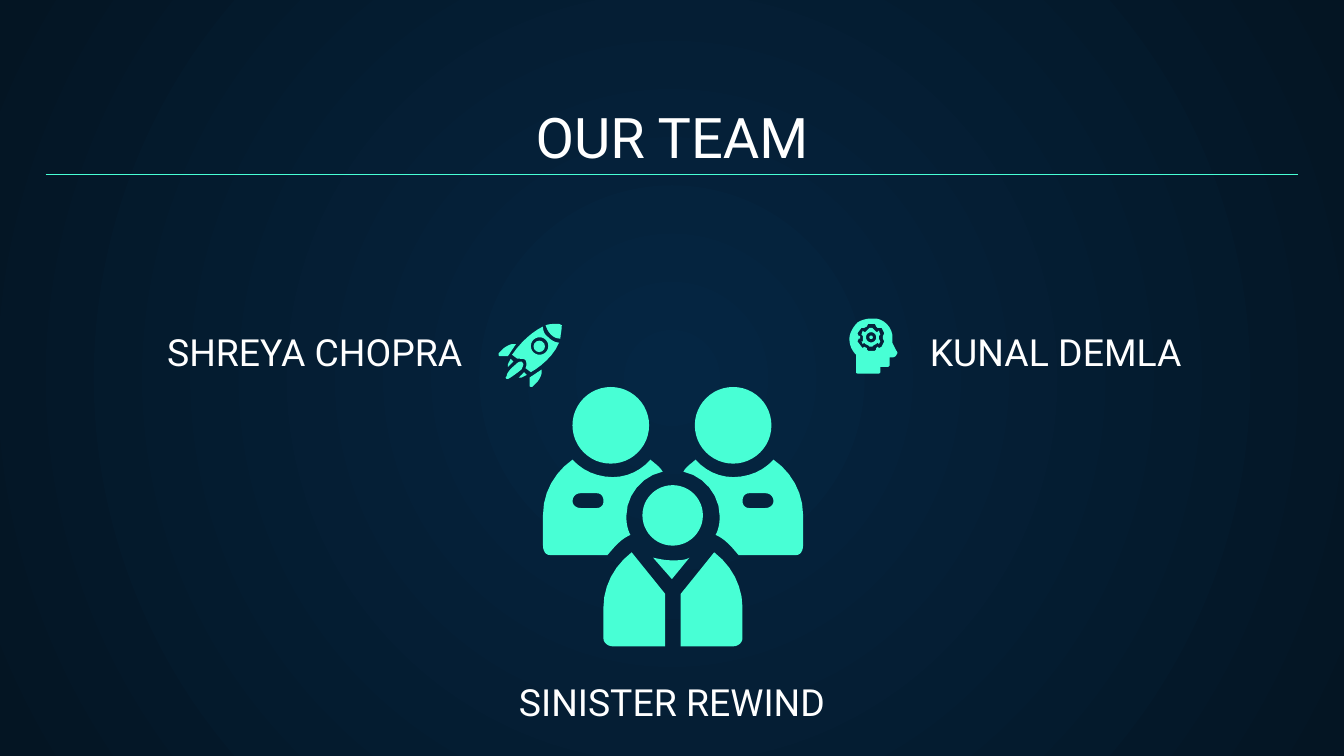
import math
from dataclasses import dataclass

import pptx
import pptx.dml.color
import pptx.enum.dml
import pptx.enum.shapes
import pptx.enum.text
import pptx.oxml
import pptx.oxml.ns
import pptx.util


@dataclass(frozen=True)
class Theme:
    """Colours, font and type sizes of the slide."""
    glow: str = "052643"
    edge: str = "041523"
    mint: str = "48FFD5"
    text: str = "FFFFFF"
    font: str = "Roboto"
    head: int = 30
    name: int = 20
    rule: float = 0.75


THEME = Theme()
CELL = pptx.util.Inches(0.1)
COLS, ROWS = 100, 56.25
FINE = 100
ALIGN = pptx.enum.text.PP_ALIGN

FIN = "M 11 15 C 9 15 7 16 4 18 L 0 22 C 0 23 0 24 1 24 C 3 24 5 24 7 24 C 9 21 11 18 13 15"
FLAME = "M 9 26 C 8 28 7 30 7 30 L 7 32 C 8 31 10 29 11 28"
TAIL = ("M 17 28 C 15 28 14 29 13 30 C 8 34 6 37 6 39 C 5 40 5 40 6 41 L 7 41 "
        "C 9 40 12 38 17 34 C 18 32 19 30 18 29 L 17 28")
NOSE = ("M 43 0 C 41 0 38 0 35 1 C 36 4 37 6 39 8 C 41 10 43 11 46 11 "
        "C 46 8 47 5 47 1 L 45 0")
HULL = ("M 33 2 C 25 6 17 13 10 23 L 14 26 C 18 26 19 26 20 27 C 21 29 21 31 20 33 "
        "L 24 36 C 31 32 41 24 45 14 C 42 14 39 12 37 10 C 34 8 33 5 33 2 O 30.5 16.5 6.5")
BODY = ("M 22 54 C 9 63 0 78 0 95 L 0 118 C 0 122 2 125 5 125 L 48 125 "
        "C 53 119 58 113 65 110 C 63 106 62 102 62 96 C 62 80 74 66 89 63 "
        "C 87 59 83 57 80 54 C 73 62 63 67 52 67 C 40 67 29 62 22 54 "
        "M 40 79 C 43 79 45 81 45 85 C 45 88 43 90 40 90 L 28 90 "
        "C 25 90 22 88 22 85 C 22 81 25 79 28 79")
COAT = "M 66 123 C 53 133 45 148 45 164 L 45 187 C 45 190 48 193 52 193 L 91 193 L 91 154"
COLLAR = "M 82 127 L 96 143 L 109 127 C 106 129 101 129 96 129 C 91 129 87 128 82 127"
SKULL = ("M 16 0 C 13 0 9 1 6 3 C 3 6 0 11 0 15 C 0 20 2 24 5 27 L 5 40 C 5 41 6 41 7 41 "
         "L 21 41 C 22 41 23 41 23 40 L 23 36 L 29 36 L 30 35 L 30 29 L 32 29 "
         "C 33 29 35 28 35 27 C 36 26 36 25 35 24 L 32 18 C 32 16 32 14 32 12 "
         "C 31 6 26 1 20 0 M 19 4 L 20 6 L 21 7 L 24 7 L 26 11 L 25 13 L 25 15 L 26 17 "
         "L 24 21 L 22 22 L 21 21 L 20 22 L 20 23 L 19 24 L 14 24 L 13 23 L 13 22 L 11 21 "
         "L 10 22 L 9 21 L 6 17 L 7 15 L 8 15 L 8 13 L 7 13 L 6 11 L 9 7 L 11 7 L 13 6 L 14 4")
GEAR = ("M 15 7 L 14 8 L 12 10 L 11 10 L 10 9 L 9 12 L 10 13 L 10 17 L 9 17 L 10 19 L 11 18 "
        "L 12 19 L 14 20 L 15 21 L 17 21 L 18 20 L 20 19 L 21 18 L 22 19 L 23 17 L 22 15 "
        "L 22 13 L 23 12 L 22 9 L 21 10 L 20 10 L 18 8 L 17 7 O 16.2 14 3.8")


def tint(code):
    """Turn a hex code into a colour."""
    return pptx.dml.color.RGBColor.from_string(code)


def paint(shape):
    """Fill a shape with mint and drop its line and shadow."""
    shape.shadow.inherit = False
    shape.fill.solid()
    shape.fill.fore_color.rgb = tint(THEME.mint)
    shape.line.fill.background()


def bend(points, steps=6):
    """Sample a cubic curve after its first point."""
    for step in range(1, steps + 1):
        t = step / steps
        share = ((1 - t) ** 3, 3 * t * (1 - t) ** 2, 3 * t * t * (1 - t), t ** 3)
        yield tuple(sum(s * p[i] for s, p in zip(share, points)) for i in (0, 1))


def trace(code):
    """Read an outline of M, L, C and O marks into lists of points."""
    loops, words = [], iter(code.split())
    take = lambda count: [float(next(words)) for _ in range(count)]
    for mark in words:
        if mark == "M":
            loops.append([tuple(take(2))])
        elif mark == "L":
            loops[-1].append(tuple(take(2)))
        elif mark == "C":
            nums = take(6)
            loops[-1].extend(bend([loops[-1][-1], *zip(nums[::2], nums[1::2])]))
        else:
            x, y, r = take(3)
            turns = [math.tau * k / 24 for k in range(24)]
            loops.append([(x + r * math.cos(a), y + r * math.sin(a)) for a in turns])
    return loops


def draw(group, box, code, flip=lambda x, y: (x, y)):
    """Add an outline to an icon, flipped if asked."""
    left, top, unit = box
    loops = [[tuple(n * FINE for n in flip(*p)) for p in loop] for loop in trace(code)]
    pen = group.shapes.build_freeform(*loops[0][0], scale=unit / FINE)
    pen.add_line_segments(loops[0][1:])
    for loop in loops[1:]:
        pen.move_to(*loop[0])
        pen.add_line_segments(loop[1:])
    paint(pen.convert_to_shape(left, top))


def disc(group, box, x, y, size):
    """Add a round part to an icon."""
    left, top, unit = box
    oval = pptx.enum.shapes.MSO_SHAPE.OVAL
    spot = (left + x * unit, top + y * unit, size * unit, size * unit)
    paint(group.shapes.add_shape(oval, *map(int, spot)))


def rocket(slide, box):
    """Place the rocket, mirrored on its diagonal."""
    group = slide.shapes.add_group_shape()
    for code in (FIN, FLAME):
        draw(group, box, code)
        draw(group, box, code, lambda x, y: (47 - y, 47 - x))
    for code in (TAIL, NOSE, HULL):
        draw(group, box, code)
    disc(group, box, 26, 12.5, 8.5)


def people(slide, box):
    """Place the three people, mirrored on the middle axis."""
    group = slide.shapes.add_group_shape()
    for code in (BODY, COAT):
        draw(group, box, code)
        draw(group, box, code, lambda x, y: (193.5 - x, y))
    draw(group, box, COLLAR)
    for x, y, size in ((22, 0, 57), (113, 0, 57), (74, 73, 45)):
        disc(group, box, x, y, size)


def mind(slide, box):
    """Place the head with a gear."""
    group = slide.shapes.add_group_shape()
    for code in (SKULL, GEAR):
        draw(group, box, code)
    disc(group, box, 14.9, 12.7, 2.6)


def write(slide, text, box, size=THEME.name, align=ALIGN.CENTER):
    """Add one line of text at the foot of a box."""
    frame = slide.shapes.add_textbox(*(int(n * CELL) for n in box)).text_frame
    frame.word_wrap = True
    frame.vertical_anchor = pptx.enum.text.MSO_ANCHOR.BOTTOM
    for side in ("left", "right", "top", "bottom"):
        setattr(frame, f"margin_{side}", CELL)
    para = frame.paragraphs[0]
    para.alignment = align
    run = para.add_run()
    run.text = text
    run.font.name, run.font.size = THEME.font, pptx.util.Pt(size)
    run.font.color.rgb = tint(THEME.text)


def shade(slide):
    """Give the slide a round glow."""
    fill = slide.background.fill
    fill.gradient()
    for stop, code in zip(fill.gradient_stops, (THEME.glow, THEME.edge)):
        stop.color.rgb = tint(code)
    line = next(slide.background._cSld.iter(pptx.oxml.ns.qn("a:lin")))
    line.getparent().replace(line, pptx.oxml.parse_xml(
        f'<a:path {pptx.oxml.ns.nsdecls("a")} path="circle">'
        '<a:fillToRect l="50000" t="50000" r="50000" b="50000"/></a:path>'))


def title(slide, box):
    """Place the heading and the rule under it."""
    left, top, wide, high = box
    write(slide, "OUR TEAM", box, size=THEME.head)
    ends = (left, top + high - 0.6, left + wide, top + high - 0.6)
    rule = slide.shapes.add_connector(
        pptx.enum.shapes.MSO_CONNECTOR.STRAIGHT, *(int(n * CELL) for n in ends))
    rule.line.color.rgb = tint(THEME.mint)
    rule.line.width = pptx.util.Pt(THEME.rule)
    rule._element.spPr.append(pptx.oxml.parse_xml(
        f'<a:effectLst {pptx.oxml.ns.nsdecls("a")}/>'))


def main():
    """Build the team slide."""
    deck = pptx.Presentation()
    deck.slide_width, deck.slide_height = int(COLS * CELL), int(ROWS * CELL)
    slide = deck.slides.add_slide(deck.slide_layouts[6])
    shade(slide)
    title(slide, (3.4, 7, 93.2, 6.6))
    write(slide, "SHREYA CHOPRA", (6.3, 26.7, 29.1, 2.1), align=ALIGN.RIGHT)
    write(slide, "KUNAL DEMLA", (68.2, 26.7, 22.7, 2.1), align=ALIGN.LEFT)
    write(slide, "SINISTER REWIND", (3.4, 48.3, 93.2, 6.6))
    for icon, col, row in ((rocket, 37.1, 24.1), (people, 40.4, 28.8), (mind, 63.2, 23.7)):
        icon(slide, (int(col * CELL), int(row * CELL), CELL / 10))
    deck.save("out.pptx")


if __name__ == "__main__":
    main()
